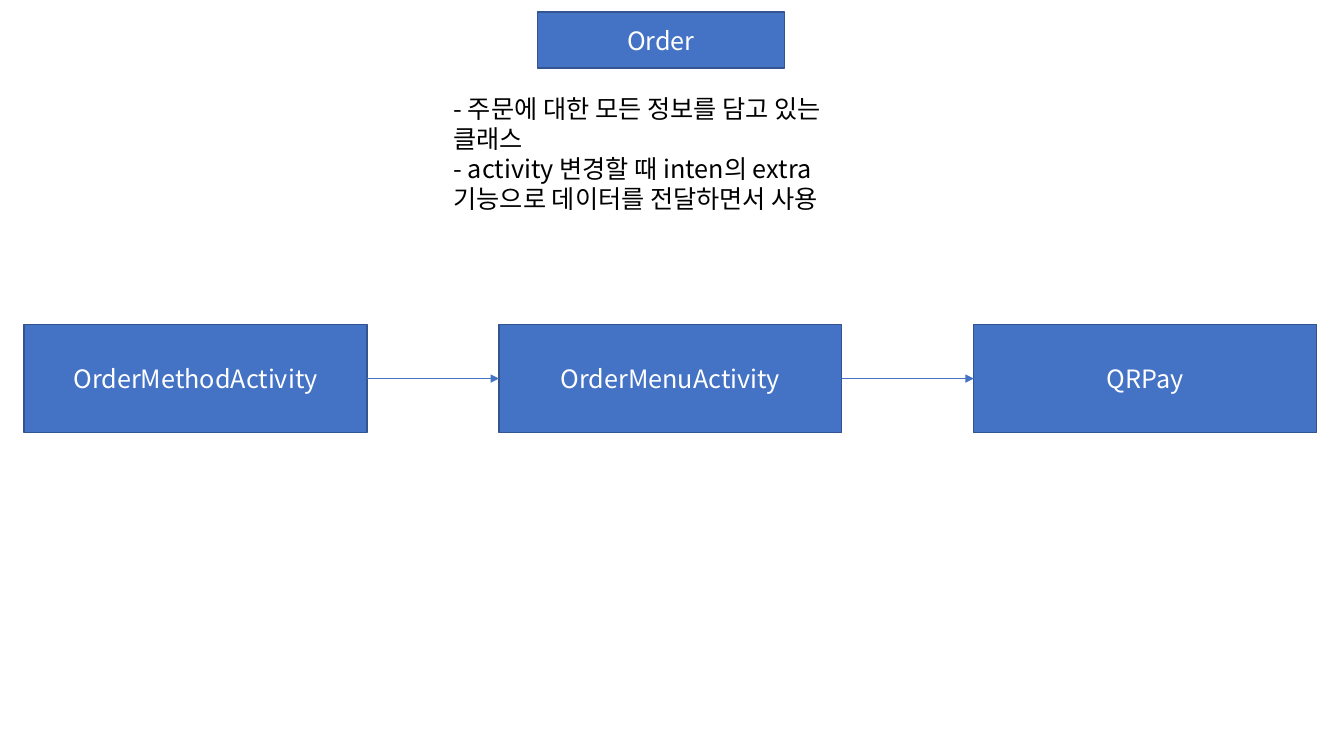
from lxml import etree
from pptx import Presentation, util as u
from pptx.dml.color import RGBColor
from pptx.enum import shapes, text
from pptx.oxml.ns import qn

FONT = "Noto Sans CJK KR"
BLUE, EDGE, WHITE, BLACK = "4472C4", "325491", "FFFFFF", "000000"
ACTIVITIES = ["OrderMethodActivity", "OrderMenuActivity", "QRPay"]
NOTES = [
    "- 주문에 대한 모든 정보를 담고 있는 클래스",
    "- activity 변경할 때 inten의 extra기능으로 데이터를 전달하면서 사용",
]


def paint(color_format, color):
    """Give a fill or font colour format a hex colour."""
    color_format.rgb = RGBColor.from_string(color)


def write(para, words, color):
    """Add one formatted run to a paragraph."""
    span = para.add_run()
    span.text = words
    span.font.size = u.Pt(18)
    span.font.name = FONT
    paint(span.font.color, color)
    east_asian = etree.SubElement(span.font._element, qn("a:ea"))
    east_asian.set("typeface", FONT)


def add_class_box(page, name, left, top, width, height):
    """Draw a blue class box with its centred name."""
    box = page.shapes.add_shape(shapes.MSO_SHAPE.RECTANGLE, u.Cm(left),
                                u.Cm(top), u.Cm(width), u.Cm(height))
    box.shadow.inherit = False
    box.fill.solid()
    paint(box.fill.fore_color, BLUE)
    paint(box.line.color, EDGE)
    box.line.width = u.Pt(1)
    box.text_frame.vertical_anchor = text.MSO_ANCHOR.MIDDLE
    para = box.text_frame.paragraphs[0]
    para.alignment = text.PP_ALIGN.CENTER
    write(para, name, WHITE)
    return box


def add_arrow(page, source, target):
    """Link the right side of one box to the left side of the next."""
    arrow = page.shapes.add_connector(shapes.MSO_CONNECTOR.STRAIGHT, 0, 0, 0, 0)
    arrow.begin_connect(source, 3)
    arrow.end_connect(target, 1)
    paint(arrow.line.color, BLUE)
    arrow.line.width = u.Pt(0.5)
    line = arrow.line._get_or_add_ln()
    etree.SubElement(line, qn("a:tailEnd")).set("type", "triangle")
    etree.SubElement(arrow._element.spPr, qn("a:effectLst"))


def add_notes(page, lines, left, top, width, height):
    """Write the description of the class, one paragraph per line."""
    box = page.shapes.add_textbox(u.Cm(left), u.Cm(top),
                                  u.Cm(width), u.Cm(height))
    frame = box.text_frame
    frame.word_wrap = True
    for index, words in enumerate(lines):
        para = frame.add_paragraph() if index else frame.paragraphs[0]
        para.line_spacing = u.Pt(21.5)
        write(para, words, BLACK)


def add_order(page, left, top, width):
    """Place the Order class box, centred, above its description."""
    box_width = 6.22
    add_class_box(page, "Order", left + (width - box_width) / 2, top,
                  box_width, 1.42)
    add_notes(page, NOTES, left, top + 1.93, width, 3.33)


def add_flow(page, names, left, top, width, height):
    """Spread the activity boxes evenly and link them in order."""
    box_width = 8.64
    pitch = (width - box_width) / (len(names) - 1)
    boxes = [add_class_box(page, name, left + index * pitch, top,
                           box_width, height)
             for index, name in enumerate(names)]
    for source, target in zip(boxes, boxes[1:]):
        add_arrow(page, source, target)


def main():
    """Build and save the deck."""
    deck = Presentation()
    deck.slide_width, deck.slide_height = u.Cm(33.87), u.Cm(19.05)
    page = deck.slides.add_slide(deck.slide_layouts[6])
    add_flow(page, ACTIVITIES, 0.61, 8.18, 32.57, 2.72)
    add_order(page, 11.18, 0.3, 10.95)
    deck.save("out.pptx")


main()
